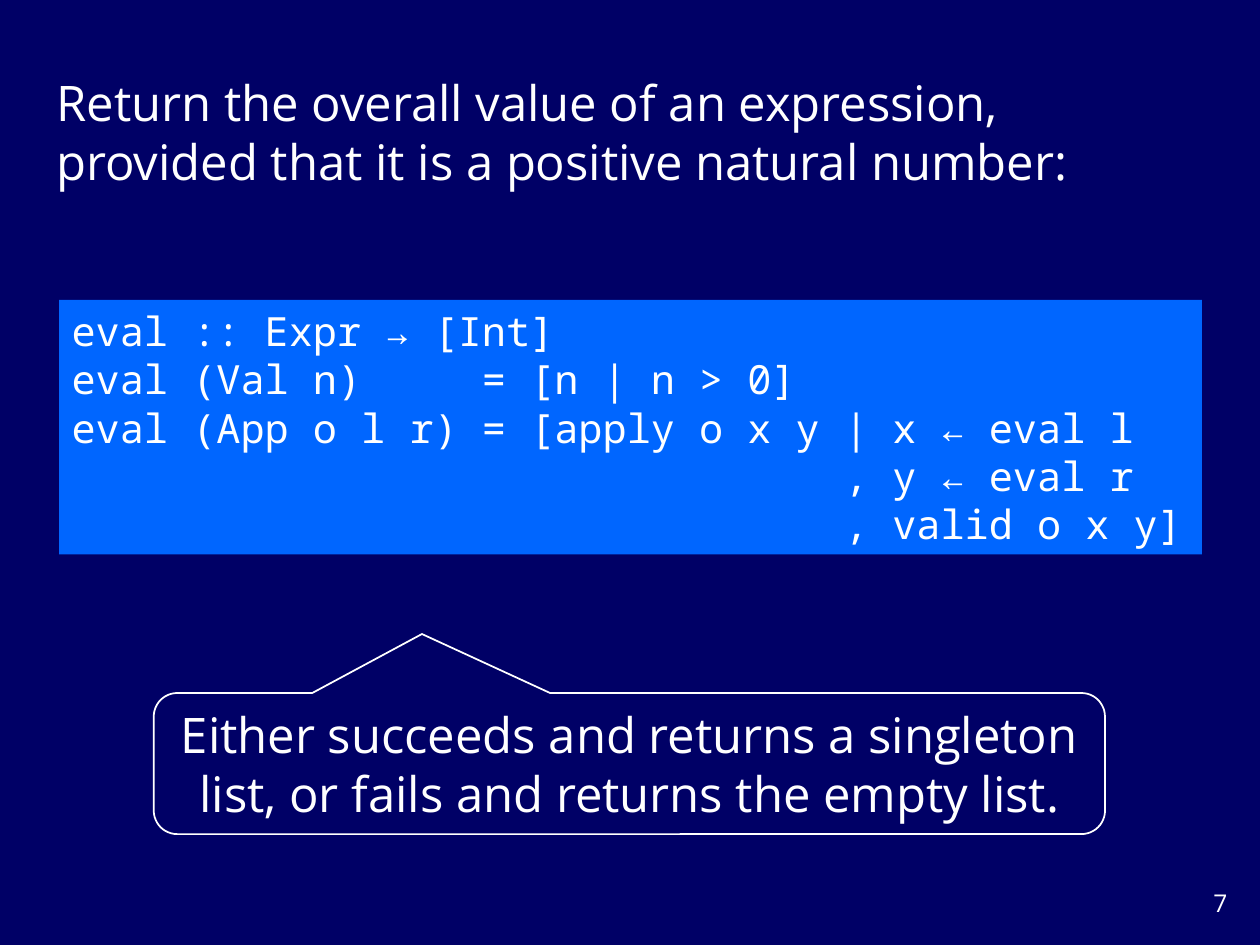
from dataclasses import dataclass

from pptx import Presentation
from pptx.dml.color import RGBColor
from pptx.enum import shapes, text
from pptx.util import Inches, Pt

# Content
INTRO = ("Return the overall value of an expression, "
         "provided that it is a positive natural number:")
CODE = [
    "eval :: Expr → [Int]",
    "eval (Val n)     = [n | n > 0]",
    "eval (App o l r) = [apply o x y | x ← eval l",
    "                                , y ← eval r",
    "                                , valid o x y]",
]
REMARK = ("Either succeeds and returns a singleton list, "
          "or fails and returns the empty list.")
PAGE = "7"


@dataclass(frozen=True)
class Theme:
    back: RGBColor = RGBColor(0x00, 0x00, 0x66)
    panel: RGBColor = RGBColor(0x00, 0x66, 0xFF)
    ink: RGBColor = RGBColor(0xFF, 0xFF, 0xFF)
    body_font: str = "Open Sans"
    code_font: str = "Noto Sans Mono"
    body_size: int = 28
    code_size: int = 23
    page_size: int = 14


T = Theme()
ALIGN = text.PP_ALIGN
MIDDLE = text.MSO_ANCHOR.MIDDLE

prs = Presentation()
prs.slide_width, prs.slide_height = Inches(10), Inches(7.5)
s = prs.slides.add_slide(prs.slide_layouts[6])
s.background.fill.solid()
s.background.fill.fore_color.rgb = T.back


def write(sp, lines, size, font=T.body_font, align=ALIGN.LEFT,
          anchor=MIDDLE, wrap=True):
    tf = sp.text_frame
    tf.word_wrap = wrap
    tf.vertical_anchor = anchor
    tf.text = "\n".join(lines)
    for p in tf.paragraphs:
        p.alignment = align
        p.font.name, p.font.size = font, Pt(size)
        p.font.color.rgb = T.ink


def add_text(box):
    return s.shapes.add_textbox(*map(Inches, box))


def add_shape(kind, box):
    sp = s.shapes.add_shape(kind, *map(Inches, box))
    sp.shadow.inherit = False
    return sp


# Page number
write(add_text((9.17, 7, 0.67, 0.33)), [PAGE], T.page_size,
      align=ALIGN.RIGHT, anchor=text.MSO_ANCHOR.TOP)

# Code panel
panel = add_shape(shapes.MSO_SHAPE.RECTANGLE, (0.47, 2.38, 9.07, 2.02))
panel.fill.solid()
panel.fill.fore_color.rgb = T.panel
panel.line.fill.background()
write(panel, CODE, T.code_size, T.code_font, wrap=False)

# Introduction
write(add_text((0.35, 0.53, 9.15, 1.03)), [INTRO], T.body_size)

# Callout pointing up at the code
callout = add_shape(shapes.MSO_SHAPE.ROUNDED_RECTANGULAR_CALLOUT,
                    (1.22, 5.5, 7.55, 1.12))
for i, value in enumerate((-0.218, -0.918, 0.167)):
    callout.adjustments[i] = value
callout.fill.background()
callout.line.color.rgb = T.ink
callout.line.width = Pt(1)
write(callout, [REMARK], T.body_size, align=ALIGN.CENTER)

prs.save("out.pptx")
